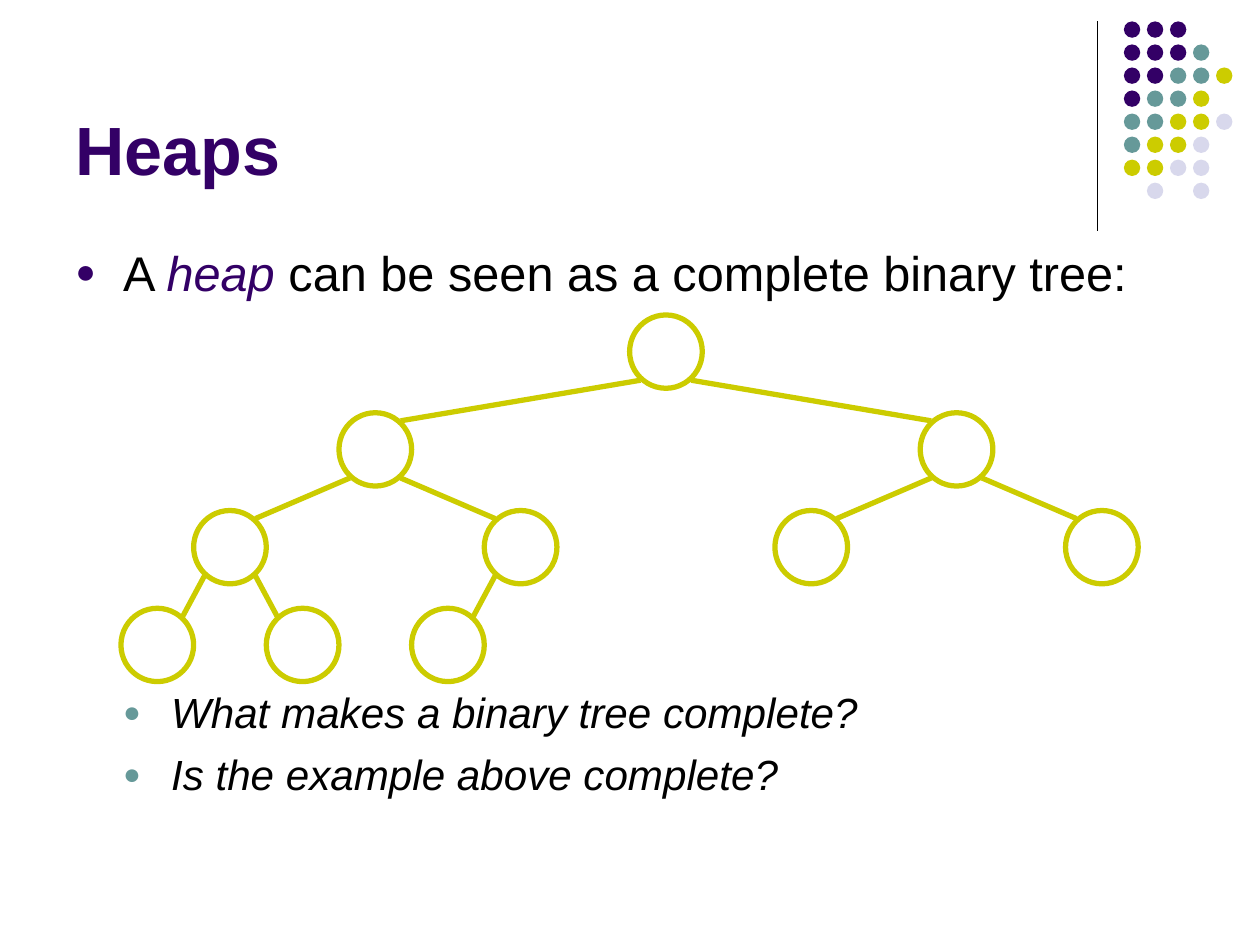
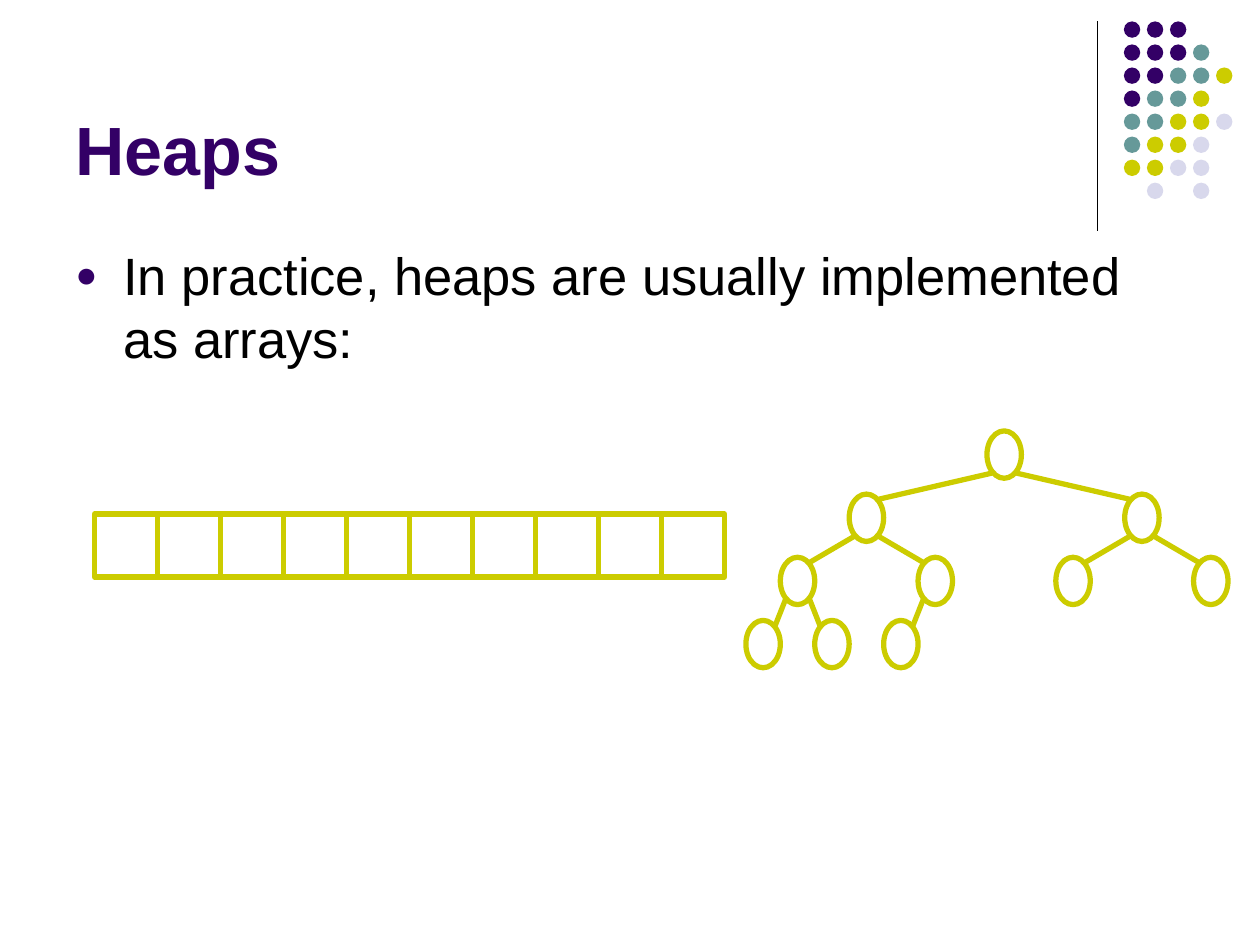
from dataclasses import dataclass

import lxml.etree
import pptx
import pptx.dml.color
import pptx.enum.shapes
import pptx.enum.text
import pptx.oxml.ns
import pptx.util
from pptx.util import Inches, Pt


@dataclass(frozen=True)
class Theme:
    font: str = "Arial"
    purple: str = "330066"
    teal: str = "669999"
    olive: str = "CCCC00"
    lilac: str = "D8D8EC"
    white: str = "FFFFFF"
    black: str = "000000"
    title_size: float = 39
    outline: float = 3
    rule: float = 0.75


THEME = Theme()

# Paragraph: level, size, space before, runs of (text, colour, italic)
SLIDES = [
    {
        "title": "Heaps",
        "body_height": 4.82,
        "body": [
            (0, 27.8, 7.5, [
                ("A ", THEME.black, False),
                ("heap", THEME.purple, True),
                (" can be seen as a complete binary tree:", THEME.black, False),
            ]),
            (1, 24.1, 220, [("What makes a binary tree complete?", THEME.black, True)]),
            (1, 24.1, 6.5, [("Is the example above complete?", THEME.black, True)]),
        ],
        "tree": (0.96, 2.5, 8.65, 2.91),
    },
    {
        "title": "Heaps",
        "body_height": 1.12,
        "body": [
            (0, 30, 7.5, [
                ("In practice, heaps are usually implemented as arrays:", THEME.black, False),
            ]),
        ],
        "tree": (5.92, 3.42, 4.1, 1.88),
        "array": (0.75, 4.08, 0.5),
    },
]

HEAP_SIZE = 10
BULLET_COLORS = (THEME.purple, THEME.teal)
INDENT = 0.38

DOT_COLORS = {"P": THEME.purple, "T": THEME.teal, "O": THEME.olive, "L": THEME.lilac}
DOT_ROWS = ["PPP", "PPPT", "PPTTO", "PTTO", "TTOOL", "TOOL", "OOLL", " L L"]
DOT_LEFT, DOT_TOP, DOT_SIZE = 8.92, 0.17, 0.13
DOT_STEP = 1.28 / (len(DOT_ROWS) - 1)

EDGE_X, EDGE_Y = 0.15, 0.11  # where edges meet a node, as shares of its size
OVAL = pptx.enum.shapes.MSO_SHAPE.OVAL
RECTANGLE = pptx.enum.shapes.MSO_SHAPE.RECTANGLE


def rgb(color):
    return pptx.dml.color.RGBColor.from_string(color)


def add_xml(parent, tag, **attributes):
    return lxml.etree.SubElement(parent, pptx.oxml.ns.qn(tag), **attributes)


def add_shape(slide, kind, left, top, width, height, fill, line=None):
    sp = slide.shapes.add_shape(kind, Inches(left), Inches(top), Inches(width), Inches(height))
    sp.shadow.inherit = False
    sp.fill.solid()
    sp.fill.fore_color.rgb = rgb(fill)
    if line:
        sp.line.color.rgb = rgb(line)
        sp.line.width = Pt(THEME.outline)
    else:
        sp.line.fill.background()


def add_line(slide, start, end, color, width):
    cn = slide.shapes.add_connector(
        pptx.enum.shapes.MSO_CONNECTOR.STRAIGHT, *map(Inches, (*start, *end)))
    cn.line.color.rgb = rgb(color)
    cn.line.width = Pt(width)
    add_xml(cn._element.spPr, "a:effectLst")


def add_text_frame(slide, left, top, width, height):
    tf = slide.shapes.add_textbox(*map(Inches, (left, top, width, height))).text_frame
    tf.word_wrap = True
    return tf


def add_run(p, text, size, color, bold=False, italic=False):
    r = p.add_run()
    r.text = text
    r.font.name = THEME.font
    r.font.size = Pt(size)
    r.font.bold = bold
    r.font.italic = italic
    r.font.color.rgb = rgb(color)


def set_bullet(p, level):
    p_pr = p._p.get_or_add_pPr()
    p_pr.set("marL", str(Inches(INDENT * (level + 1))))
    p_pr.set("indent", str(Inches(-INDENT)))
    add_xml(add_xml(p_pr, "a:buClr"), "a:srgbClr", val=BULLET_COLORS[level])
    add_xml(p_pr, "a:buSzPct", val="70000")
    add_xml(p_pr, "a:buFont", typeface=THEME.font)
    add_xml(p_pr, "a:buChar", char="●")


def add_decoration(slide):
    """Draw the rule and the dot pattern in the top right corner."""
    add_line(slide, (8.71, 0.17), (8.71, 1.83), THEME.black, THEME.rule)
    for row, codes in enumerate(DOT_ROWS):
        for col, code in enumerate(codes):
            if code in DOT_COLORS:
                add_shape(slide, OVAL, DOT_LEFT + col * DOT_STEP, DOT_TOP + row * DOT_STEP,
                          DOT_SIZE, DOT_SIZE, DOT_COLORS[code])


def add_title(slide, text):
    tf = add_text_frame(slide, 0.5, 0.13, 8.25, 1.42)
    tf.vertical_anchor = pptx.enum.text.MSO_ANCHOR.BOTTOM
    add_run(tf.paragraphs[0], text, THEME.title_size, THEME.purple, bold=True)


def add_body(slide, paragraphs, height):
    tf = add_text_frame(slide, 0.5, 1.88, 9, height)
    for i, (level, size, space, runs) in enumerate(paragraphs):
        p = tf.add_paragraph() if i else tf.paragraphs[0]
        p.level = level
        p.space_before = Pt(space)
        set_bullet(p, level)
        for text, color, italic in runs:
            add_run(p, text, size, color, italic=italic)


def add_tree(slide, left, top, width, height):
    """Draw a heap-ordered tree; node i has parent i // 2."""
    depth = HEAP_SIZE.bit_length() - 1
    node_w = width / (2 ** (depth + 1) - 1)  # gaps on the last level are one node wide
    node_h = height / (1 + depth * 4 / 3)  # levels are 4/3 node apart
    nodes = {}
    for i in range(1, HEAP_SIZE + 1):
        level = i.bit_length() - 1
        slot = (i - 2 ** level + 0.5) * 2 ** (depth - level) - 0.5
        nodes[i] = (left + 2 * node_w * slot, top + level * node_h * 4 / 3)
        add_shape(slide, OVAL, *nodes[i], node_w, node_h, THEME.white, THEME.olive)
    for i in range(2, HEAP_SIZE + 1):
        (px, py), (cx, cy) = nodes[i // 2], nodes[i]
        parent_x, child_x = (1 - EDGE_X, EDGE_X) if i % 2 else (EDGE_X, 1 - EDGE_X)
        add_line(slide, (px + parent_x * node_w, py + (1 - EDGE_Y) * node_h),
                 (cx + child_x * node_w, cy + EDGE_Y * node_h), THEME.olive, THEME.outline)


def add_array(slide, left, top, size):
    for i in range(HEAP_SIZE):
        add_shape(slide, RECTANGLE, left + i * size, top, size, size, THEME.white, THEME.olive)


def main():
    prs = pptx.Presentation()
    prs.slide_width, prs.slide_height = Inches(10), Inches(7.5)
    for content in SLIDES:
        slide = prs.slides.add_slide(prs.slide_layouts[6])
        add_decoration(slide)
        add_title(slide, content["title"])
        add_body(slide, content["body"], content["body_height"])
        add_tree(slide, *content["tree"])
        if "array" in content:
            add_array(slide, *content["array"])
    prs.save("out.pptx")


if __name__ == "__main__":
    main()
